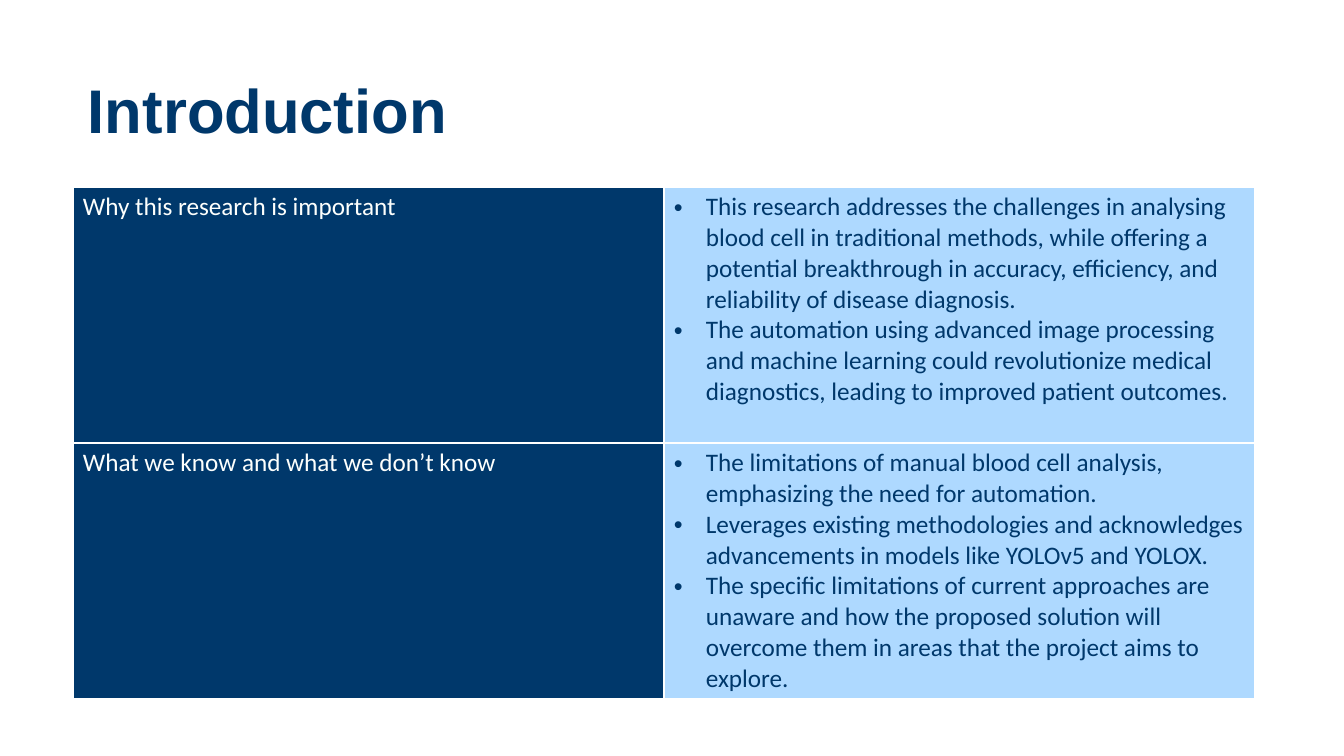
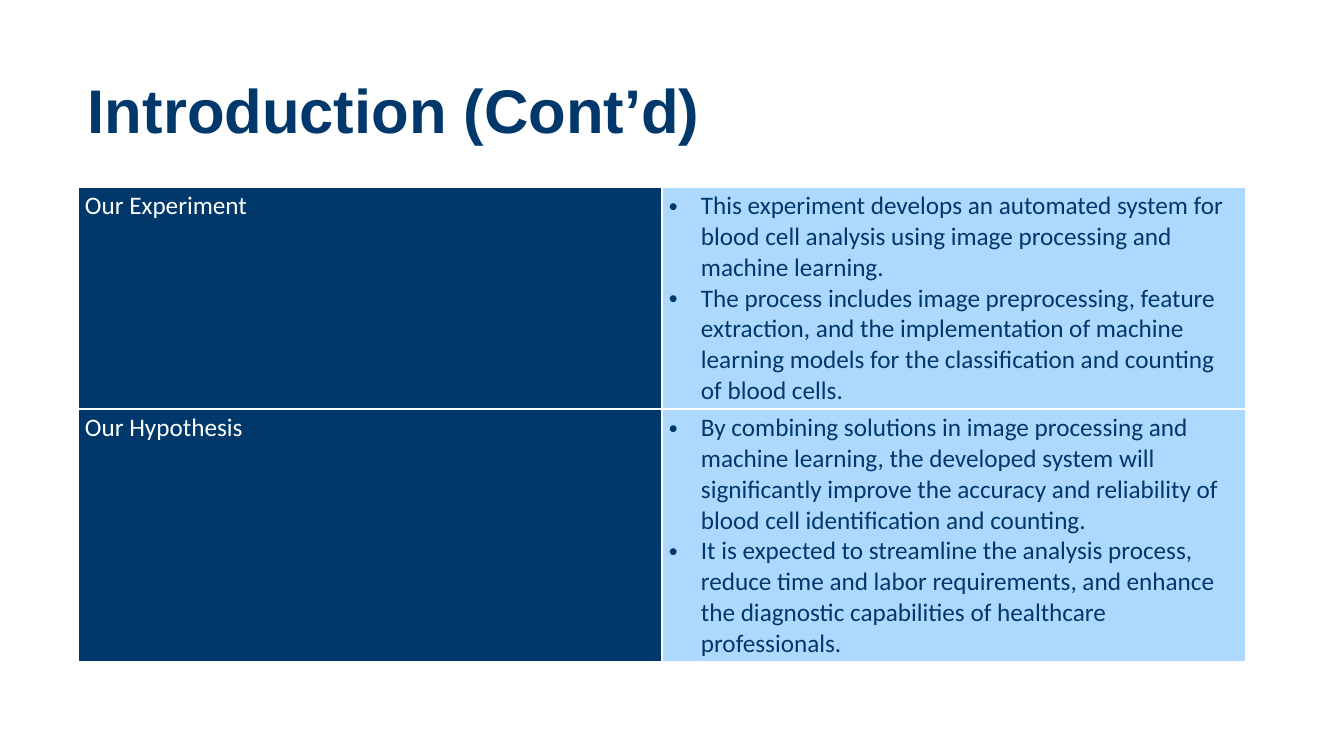
"""Build two introduction slides, each with a title and a two-column table."""
from lxml import etree
from pptx import Presentation
from pptx.dml.color import RGBColor
from pptx.enum.text import MSO_ANCHOR
from pptx.oxml.ns import qn
from pptx.util import Pt

TOP = MSO_ANCHOR.TOP
EMU_PER_PX = 914400 / 100.8
SLIDE_SIZE = (1344, 756)
TITLE_BOX = (78, 75, 1174, 111)
TABLE_TOP = 187
BULLET_INDENT = 32
BORDERS = ("a:lnL", "a:lnR", "a:lnT", "a:lnB")

THEME = {
    "title": {"name": "Arial", "size": Pt(44), "bold": True, "color": "00386B"},
    "label": {"name": "Calibri", "size": Pt(18), "bold": False, "color": "FDFFFD"},
    "points": {"name": "Calibri", "size": Pt(18), "bold": False, "color": "00386B"},
    "fills": {"label": "00386B", "points": "AED9FF"},
    "border": {"color": "FFFFFF", "width": Pt(1)},
    "title_spacing": 0.9,
}

SLIDES = [
    {
        "title": "Introduction",
        "left": 73, "col_width": 591, "row_heights": (256, 256), "margins": (10, 5),
        "rows": [
            ("Why this research is important", [
                "This research addresses the challenges in analysing blood cell in traditional "
                "methods, while offering a potential breakthrough in accuracy, efficiency, and "
                "reliability of disease diagnosis.",
                "The automation using advanced image processing and machine learning could "
                "revolutionize medical diagnostics, leading to improved patient outcomes.",
            ]),
            ("What we know and what we don’t know", [
                "The limitations of manual blood cell analysis, emphasizing the need for "
                "automation.",
                "Leverages existing methodologies and acknowledges advancements in models like "
                "YOLOv5 and YOLOX.",
                "The specific limitations of current approaches are unaware and how the proposed "
                "solution will overcome them in areas that the project aims to explore.",
            ]),
        ],
    },
    {
        "title": "Introduction (Cont’d)",
        "left": 78, "col_width": 584, "row_heights": (222, 253), "margins": (7, 4),
        "rows": [
            ("Our Experiment", [
                "This experiment develops an automated system for blood cell analysis using image "
                "processing and machine learning.",
                "The process includes image preprocessing, feature extraction, and the "
                "implementation of machine learning models for the classification and counting "
                "of blood cells.",
            ]),
            ("Our Hypothesis", [
                "By combining solutions in image processing and machine learning, the developed "
                "system will significantly improve the accuracy and reliability of blood cell "
                "identification and counting.",
                "It is expected to streamline the analysis process, reduce time and labor "
                "requirements, and enhance the diagnostic capabilities of healthcare "
                "professionals.",
            ]),
        ],
    },
]


def px(value):
    return round(value * EMU_PER_PX)


def add_text(p, text, style):
    r = p.add_run()
    r.text = text
    for name, value in THEME[style].items():
        if name == "color":
            r.font.color.rgb = RGBColor.from_string(value)
        else:
            setattr(r.font, name, value)


def add_bullet(p):
    pPr = p._p.get_or_add_pPr()
    pPr.set("marL", str(px(BULLET_INDENT)))
    pPr.set("indent", str(-px(BULLET_INDENT)))
    etree.SubElement(pPr, qn("a:buFont")).set("typeface", "Arial")
    etree.SubElement(pPr, qn("a:buChar")).set("char", "•")


def add_borders(cell):
    tcPr = cell._tc.get_or_add_tcPr()
    for i, tag in enumerate(BORDERS):
        ln = etree.Element(qn(tag), w=str(THEME["border"]["width"]))
        fill = etree.SubElement(ln, qn("a:solidFill"))
        etree.SubElement(fill, qn("a:srgbClr")).set("val", THEME["border"]["color"])
        tcPr.insert(i, ln)


def fill_cell(cell, texts, style, margins):
    side, edge = map(px, margins)
    layout = {"margin_left": side, "margin_right": side, "margin_top": edge,
              "margin_bottom": edge, "vertical_anchor": TOP}
    for name, value in layout.items():
        setattr(cell, name, value)
    cell.fill.solid()
    cell.fill.fore_color.rgb = RGBColor.from_string(THEME["fills"][style])
    add_borders(cell)
    tf = cell.text_frame
    for i, text in enumerate(texts):
        p = tf.add_paragraph() if i else tf.paragraphs[0]
        if style == "points":
            add_bullet(p)
        add_text(p, text, style)


def add_title(s, text):
    tf = s.shapes.add_textbox(*map(px, TITLE_BOX)).text_frame
    tf.word_wrap = True
    tf.vertical_anchor = TOP
    p = tf.paragraphs[0]
    p.line_spacing = THEME["title_spacing"]
    add_text(p, text, "title")


def add_grid(s, data):
    heights = data["row_heights"]
    box = (data["left"], TABLE_TOP, 2 * data["col_width"], sum(heights))
    table = s.shapes.add_table(len(heights), 2, *map(px, box)).table
    table.first_row = table.horz_banding = False
    for col in table.columns:
        col.width = px(data["col_width"])
    for i, (height, (label, points)) in enumerate(zip(heights, data["rows"])):
        table.rows[i].height = px(height)
        fill_cell(table.cell(i, 0), [label], "label", data["margins"])
        fill_cell(table.cell(i, 1), points, "points", data["margins"])


def main():
    prs = Presentation()
    prs.slide_width, prs.slide_height = map(px, SLIDE_SIZE)
    for data in SLIDES:
        s = prs.slides.add_slide(prs.slide_layouts[6])
        add_title(s, data["title"])
        add_grid(s, data)
    prs.save("out.pptx")


if __name__ == "__main__":
    main()
